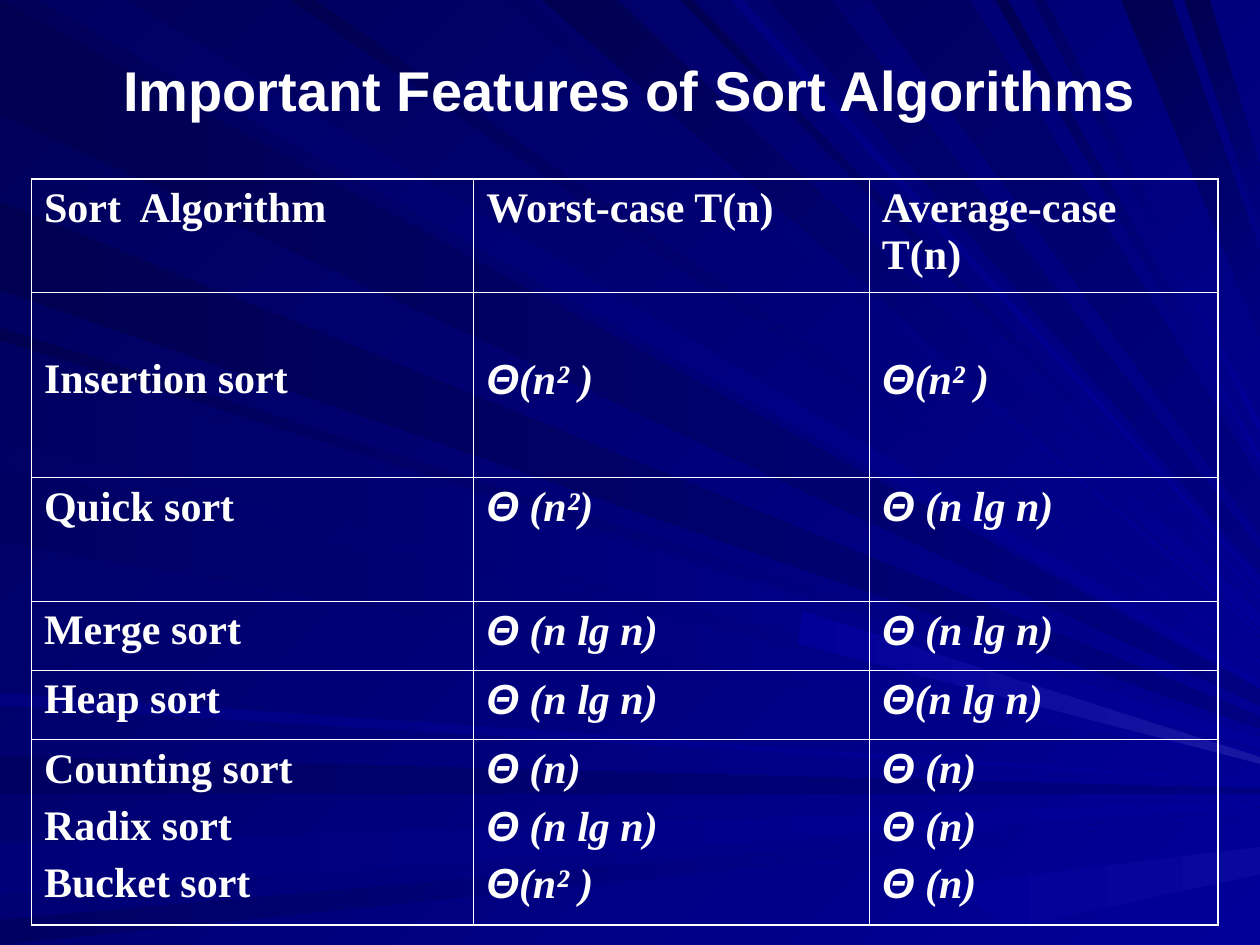
import pptx
import pptx.util
import pptx.dml.color
import pptx.enum.text
import pptx.oxml
import pptx.oxml.ns

Inches = pptx.util.Inches
Pt = pptx.util.Pt
RGBColor = pptx.dml.color.RGBColor

WHITE = RGBColor.from_string("FFFFFF")
BACK_DARK = RGBColor.from_string("000058")
DEEP = RGBColor.from_string("000050")
MID = RGBColor.from_string("000062")
SOFT = RGBColor.from_string("000078")
BLUE = RGBColor.from_string("000080")
BRIGHT = RGBColor.from_string("000099")
GLOW = RGBColor.from_string("1717A2")
FAINT_GLOW = RGBColor.from_string("08089C")
TITLE_FONT = "Arial"
BODY_FONT = "Times New Roman"
THIN, THICK = Pt(0.45), Pt(1.08)

# All rays run from the left or top edge towards one point right of the slide
SLIDE_W, SLIDE_H = 10, 7.5
FOCUS_X, FOCUS_Y = 11.5, 6.3

# Rays from back to front: edge, start and width along it, near and far colour
RAYS = [
    ("left", 0, 0.9, DEEP, BLUE),
    ("top", 0.3, 0.7, MID, BRIGHT),
    ("left", 6, 0.3, MID, BLUE),
    ("left", 6.7, 0.4, SOFT, BRIGHT),
    ("left", 7.3, 0.2, MID, BRIGHT),
    ("left", 2.6, 0.1, DEEP, BRIGHT),
    ("left", 1.6, 0.7, DEEP, BLUE),
    ("top", 4, 0.2, MID, BRIGHT),
    ("top", 4.3, 0.6, DEEP, BRIGHT),
    ("top", 5.4, 0.1, DEEP, BRIGHT),
    ("top", 6.1, 0.5, MID, BLUE),
    ("top", 8.9, 0.4, DEEP, BLUE),
    ("top", 9.4, 0.2, DEEP, BLUE),
    ("left", 2.8, 0.6, MID, BRIGHT),
    ("left", 3.7, 0.6, MID, BRIGHT),
    ("left", 5.5, 0.1, BLUE, BRIGHT),
    ("top", 2.3, 0.2, DEEP, BRIGHT),
    ("top", 5.8, 0.1, BLUE, BRIGHT),
    ("top", 6.9, 0.8, MID, BLUE),
    ("top", 7.9, 0.1, DEEP, BRIGHT),
    ("top", 8.2, 0.1, MID, BRIGHT),
    ("left", 2.8, 0.7, MID, BRIGHT),
]

# Table content: one list of lines per cell
COLUMN_WIDTHS = [3.51, 3.14, 2.77]
ROW_HEIGHTS = [0.9, 1.47, 0.98, 0.55, 0.55, 1.47]
INSERTION_ROW = 1
ROWS = [
    [["Sort  Algorithm"], ["Worst-case T(n)"], ["Average-case T(n)"]],
    [["Insertion sort"], ["Θ(n² )"], ["Θ(n² )"]],
    [["Quick sort"], ["Θ (n²)"], ["Θ (n lg n)"]],
    [["Merge sort"], ["Θ (n lg n)"], ["Θ (n lg n)"]],
    [["Heap sort"], ["Θ (n lg n)"], ["Θ(n lg n)"]],
    [["Counting sort", "Radix sort", "Bucket sort"],
     ["Θ (n)", "Θ (n lg n)", "Θ(n² )"],
     ["Θ (n)", "Θ (n)", "Θ (n)"]],
]


def set_gradient(fill, first, last, angle):
    fill.gradient()
    fill.gradient_angle = 360 - angle  # counted anticlockwise
    for stop, color in zip(fill.gradient_stops, (first, last)):
        stop.color.rgb = color


def add_beam(shapes, corners, first, last, angle):
    points = [(Inches(x), Inches(y)) for x, y in corners]
    builder = shapes.build_freeform(*points[0])
    builder.add_line_segments(points[1:], close=True)
    sp = builder.convert_to_shape()
    sp.shadow.inherit = False
    sp.line.fill.background()
    set_gradient(sp.fill, first, last, angle)


def right_edge_point(x, y):
    """Where the line from (x, y) to the focus leaves the slide."""
    share = (SLIDE_W - x) / (FOCUS_X - x)
    return SLIDE_W, y + share * (FOCUS_Y - y)


def add_ray(shapes, edge, start, width, near, far):
    ends = (start, start + width)
    if edge == "left":
        a, b = [(0, y) for y in ends]
    else:
        a, b = [(x, 0) for x in ends]
    corners = [a, right_edge_point(*a), right_edge_point(*b), b]
    add_beam(shapes, corners, near, far, 0 if edge == "left" else 45)


def add_backdrop(s):
    set_gradient(s.background.fill, BACK_DARK, BRIGHT, 45)
    shapes = s.shapes.add_group_shape().shapes
    for ray in RAYS:
        add_ray(shapes, *ray)
    # Lit stretches at the right edge
    add_beam(shapes, [(6.37, 4.85), (10, 6.01), (10, 6.06), (6.33, 5.11)], BRIGHT, GLOW, 0)
    add_beam(shapes, [(7.56, 7.02), (10, 6.72), (10, 6.94), (8, 7.37)], BRIGHT, FAINT_GLOW, 0)


def format_run(r, font, size, italic=False):
    r.font.name = font
    r.font.size = Pt(size)
    r.font.bold = True
    r.font.italic = italic
    r.font.color.rgb = WHITE


def set_title(s, text):
    sp = s.shapes.title
    s.shapes._spTree.append(sp._element)  # in front of the rays
    sp.left, sp.top, sp.width, sp.height = Inches(0.75), Inches(0.42), Inches(8.5), Inches(0.58)
    tf = sp.text_frame
    tf.text = text
    tf.vertical_anchor = pptx.enum.text.MSO_ANCHOR.MIDDLE
    tf.auto_size = pptx.enum.text.MSO_AUTO_SIZE.NONE
    p = tf.paragraphs[0]
    p.alignment = pptx.enum.text.PP_ALIGN.CENTER
    format_run(p.runs[0], TITLE_FONT, 32)


def set_borders(cell, widths):
    # Border elements go before the fill in the cell properties
    tcPr = cell._tc.get_or_add_tcPr()
    for i, (side, width) in enumerate(zip(("lnL", "lnR", "lnT", "lnB"), widths)):
        tcPr.insert(i, pptx.oxml.parse_xml(
            f'<a:{side} {pptx.oxml.ns.nsdecls("a")} w="{int(width)}">'
            f'<a:solidFill><a:srgbClr val="{WHITE}"/></a:solidFill></a:{side}>'))


def fill_cell(cell, lines):
    tf = cell.text_frame
    tf.text = "\n".join(lines)
    for i, (p, line) in enumerate(zip(tf.paragraphs, lines)):
        p.space_before = Pt(6 if i else 0)
        if line.startswith("Θ"):
            # Theta has its own font, and formulas are italic
            p.text = "Θ"
            format_run(p.runs[0], TITLE_FONT, 24, italic=True)
            r = p.add_run()
            r.text = line[1:]
            format_run(r, BODY_FONT, 24, italic=True)
        else:
            format_run(p.runs[0], BODY_FONT, 24)


def add_sort_table(s):
    n_rows, n_cols = len(ROWS), len(COLUMN_WIDTHS)
    table = s.shapes.add_table(n_rows, n_cols, Inches(0.25), Inches(1.42),
                               Inches(sum(COLUMN_WIDTHS)), Inches(sum(ROW_HEIGHTS))).table
    table.first_row = table.horz_banding = False
    for column, width in zip(table.columns, COLUMN_WIDTHS):
        column.width = Inches(width)
    for row, height in zip(table.rows, ROW_HEIGHTS):
        row.height = Inches(height)
    for i, row in enumerate(ROWS):
        for j, lines in enumerate(row):
            cell = table.cell(i, j)
            cell.fill.background()
            cell.margin_top = Inches(0.51 if i == INSERTION_ROW else 0.05)
            fill_cell(cell, lines)
            # Outer edges are thicker than the inner grid
            outer = (j == 0, j == n_cols - 1, i == 0, i == n_rows - 1)
            set_borders(cell, [THICK if edge else THIN for edge in outer])


def main():
    prs = pptx.Presentation()
    prs.slide_width, prs.slide_height = Inches(SLIDE_W), Inches(SLIDE_H)
    s = prs.slides.add_slide(prs.slide_layouts[5])
    add_backdrop(s)
    set_title(s, "Important Features of Sort Algorithms")
    add_sort_table(s)
    prs.save("out.pptx")


if __name__ == "__main__":
    main()
